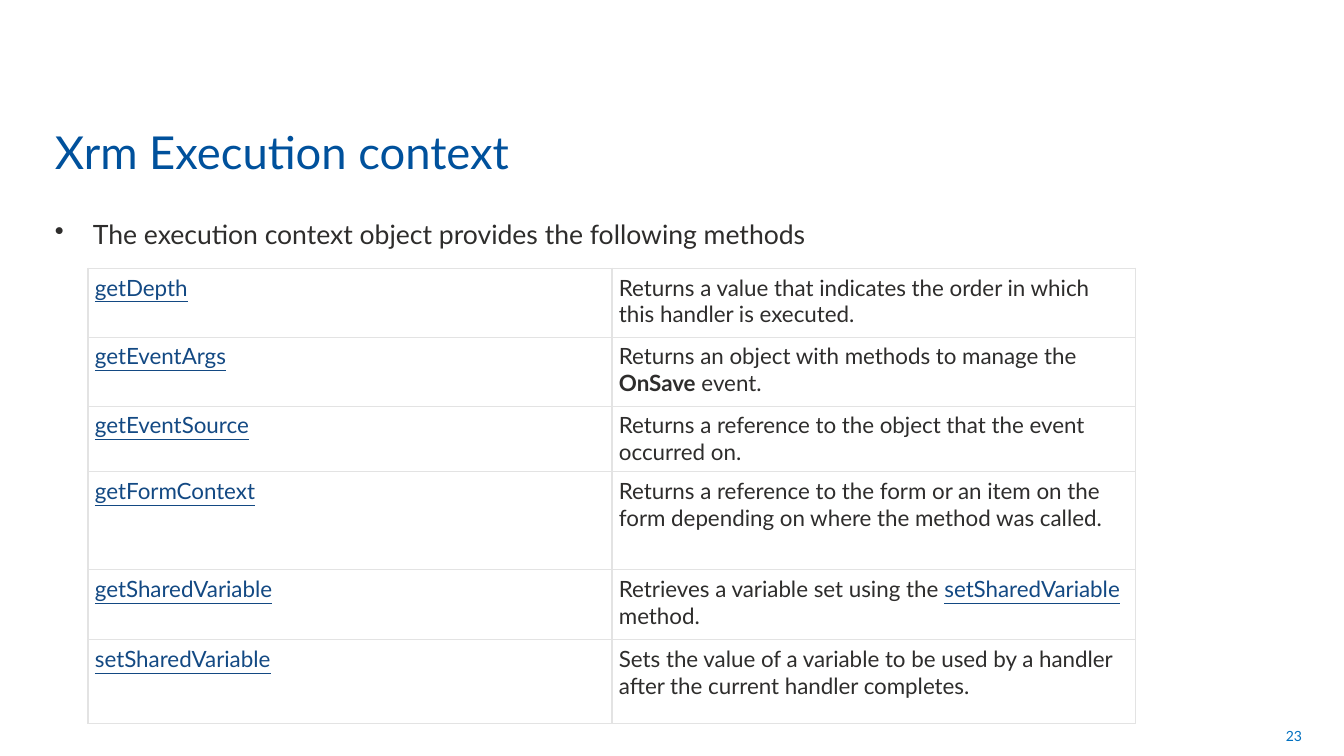
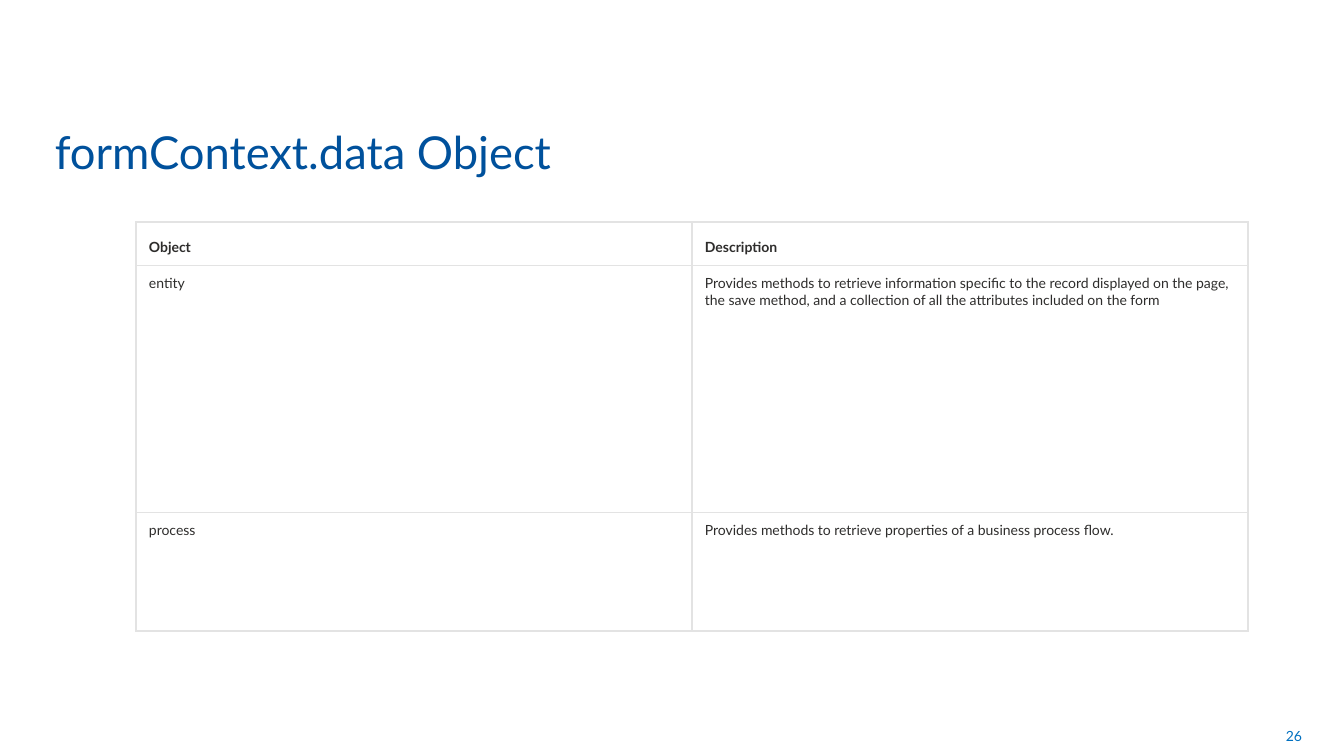
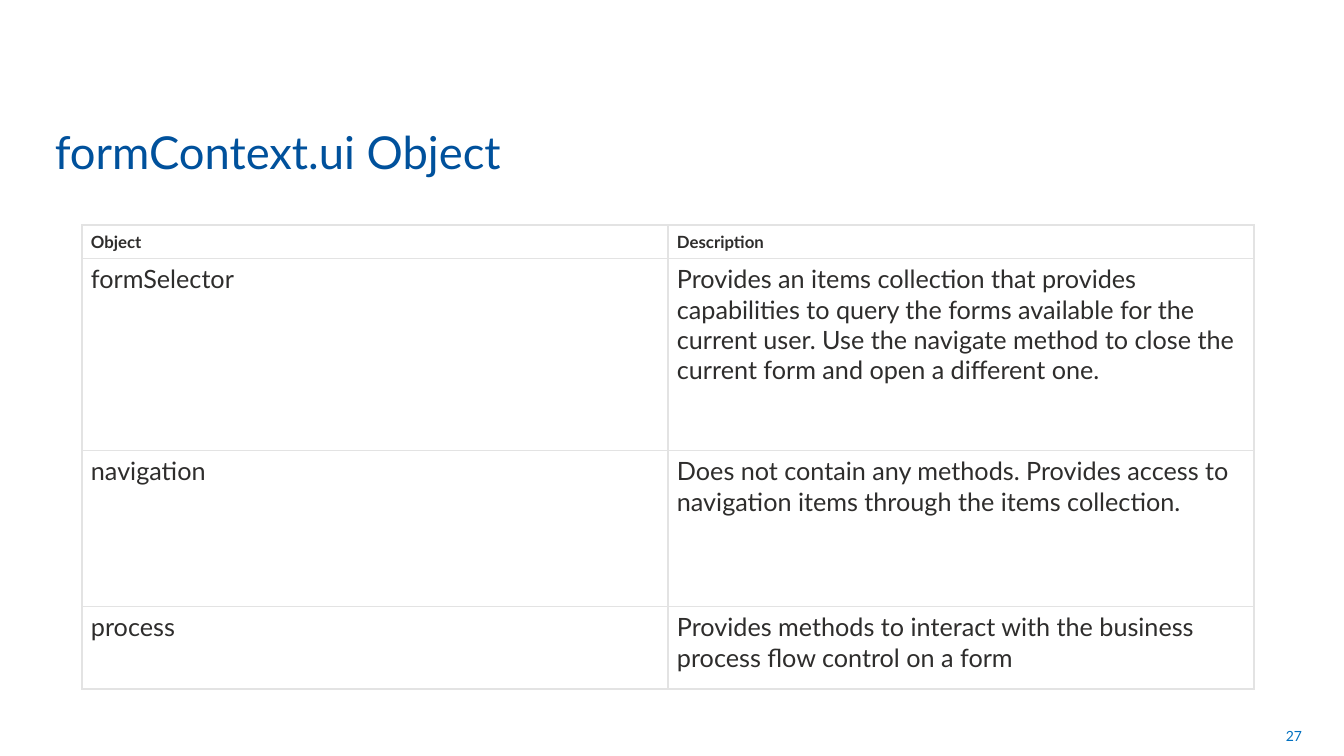
from lxml.etree import SubElement as Sub
from pptx import Presentation
from pptx.dml.color import RGBColor as RGB
from pptx.enum.text import MSO_ANCHOR as Anchor, PP_ALIGN as Align
from pptx.oxml.ns import qn
from pptx.util import Emu, Pt

SCALE = 914400 / 100.8
FONT = "Lato"
HUES = {
    "title": "00519C",
    "text": "2E2D2C",
    "link": "134983",
    "page": "0070C0",
    "grid": "E3E3E3",
}


def px(size):
    return Emu(round(size * SCALE))


def hue(name):
    return RGB.from_string(HUES[name])


class Deck:
    def __init__(self):
        self.show = Presentation()
        self.show.slide_width = px(1344)
        self.show.slide_height = px(756)

    def slide(self, title, page):
        self.page = self.show.slides.add_slide(self.show.slide_layouts[6])
        self.text(title, (45, 114, 1006, 70), 32.4, "title", Anchor.BOTTOM)
        note = self.text(str(page), (999, 716, 313, 40), 10, "page", Anchor.MIDDLE)
        note.alignment = Align.RIGHT

    def style(self, para, size, color):
        font = para.font
        font.name = FONT
        font.size = Pt(size)
        font.color.rgb = hue(color)

    def text(self, words, box, size, color, anchor=Anchor.TOP):
        frame = self.page.shapes.add_textbox(*map(px, box)).text_frame
        frame.word_wrap = True
        frame.vertical_anchor = anchor
        para = frame.paragraphs[0]
        para.add_run().text = words
        self.style(para, size, color)
        return para

    def bullet(self, words, box):
        para = self.text(words, box, 19, "text")
        para.space_before = Pt(2)
        para.space_after = Pt(8)
        props = para._p.get_or_add_pPr()
        props.set("marL", str(px(38)))
        props.set("indent", str(px(-38)))
        mark = props.makeelement(qn("a:buChar"), {"char": "•"})
        props.find(qn("a:defRPr")).addprevious(mark)

    def edges(self, cell, widths):
        props = cell._tc.get_or_add_tcPr()
        for side, width in zip("LRTB", widths):
            line = Sub(props, qn(f"a:ln{side}"), w=str(Pt(width)))
            fill = Sub(line, qn("a:solidFill"))
            Sub(fill, qn("a:srgbClr"), val=HUES["grid"])

    def fill(self, cell, words, size, bold):
        para = cell.text_frame.paragraphs[0]
        self.style(para, size, "text")
        for part in words.split("|"):
            run = para.add_run()
            run.text = part.lstrip("_*")
            if part.startswith("_"):
                run.font.underline = True
                run.font.color.rgb = hue("link")
            if bold or part.startswith("*"):
                run.font.bold = True

    def table(self, spot, width, highs, rows, size, pad, top, inner, head=None):
        box = map(px, (*spot, 2 * width, sum(highs)))
        grid = self.page.shapes.add_table(len(rows), 2, *box).table
        grid.first_row = grid.horz_banding = False
        for col in grid.columns:
            col.width = px(width)
        last = len(rows) - 1
        for i, (high, row) in enumerate(zip(highs, rows)):
            grid.rows[i].height = px(high)
            title = bool(head) and i == 0
            widths = (1, 1, inner if i else top, 1 if i == last else inner)
            for cell, words in zip(grid.rows[i].cells, row):
                cell.margin_left = cell.margin_right = px(pad[0])
                cell.margin_top = cell.margin_bottom = px(pad[1])
                cell.vertical_anchor = Anchor.BOTTOM if title else Anchor.TOP
                self.edges(cell, widths)
                cell.fill.background()
                self.fill(cell, words, head if title else size, title)


deck = Deck()
HEAD = ("Object", "Description")

deck.slide("Xrm Execution context", 23)
deck.bullet("The execution context object provides the following methods", (45, 213, 1257, 501))
calls = [
    ("_getDepth", "Returns a value that indicates the order in which this handler is executed."),
    ("_getEventArgs", "Returns an object with methods to manage the |*OnSave| event."),
    ("_getEventSource", "Returns a reference to the object that the event occurred on."),
    ("_getFormContext", "Returns a reference to the form or an item on the form "
     "depending on where the method was called."),
    ("_getSharedVariable", "Retrieves a variable set using the |_setSharedVariable| method."),
    ("_setSharedVariable", "Sets the value of a variable to be used by a handler "
     "after the current handler completes."),
]
deck.table((88, 268), 524, (69, 69, 65, 98, 70, 84), calls, 16, (7, 6), 0.6, 0.6)

deck.slide("formContext.data Object", 26)
data = [
    HEAD,
    ("entity", "Provides methods to retrieve information specific to the record displayed "
     "on the page, the save method, and a collection of all the attributes included on the form"),
    ("process", "Provides methods to retrieve properties of a business process flow."),
]
deck.table((136, 222), 556, (43, 247, 119), data, 10, (13, 10), 1, 0.3, head=10)

deck.slide("formContext.ui Object", 27)
parts = [
    HEAD,
    ("formSelector", "Provides an items collection that provides capabilities to query the "
     "forms available for the current user. Use the navigate method to close the current "
     "form and open a different one."),
    ("navigation", "Does not contain any methods. Provides access to navigation items "
     "through the items collection."),
    ("process", "Provides methods to interact with the business process flow control on a form"),
]
deck.table((82, 225), 586, (33, 192, 156, 83), parts, 18, (9, 6), 1, 0.3, head=12)

deck.show.save("out.pptx")
